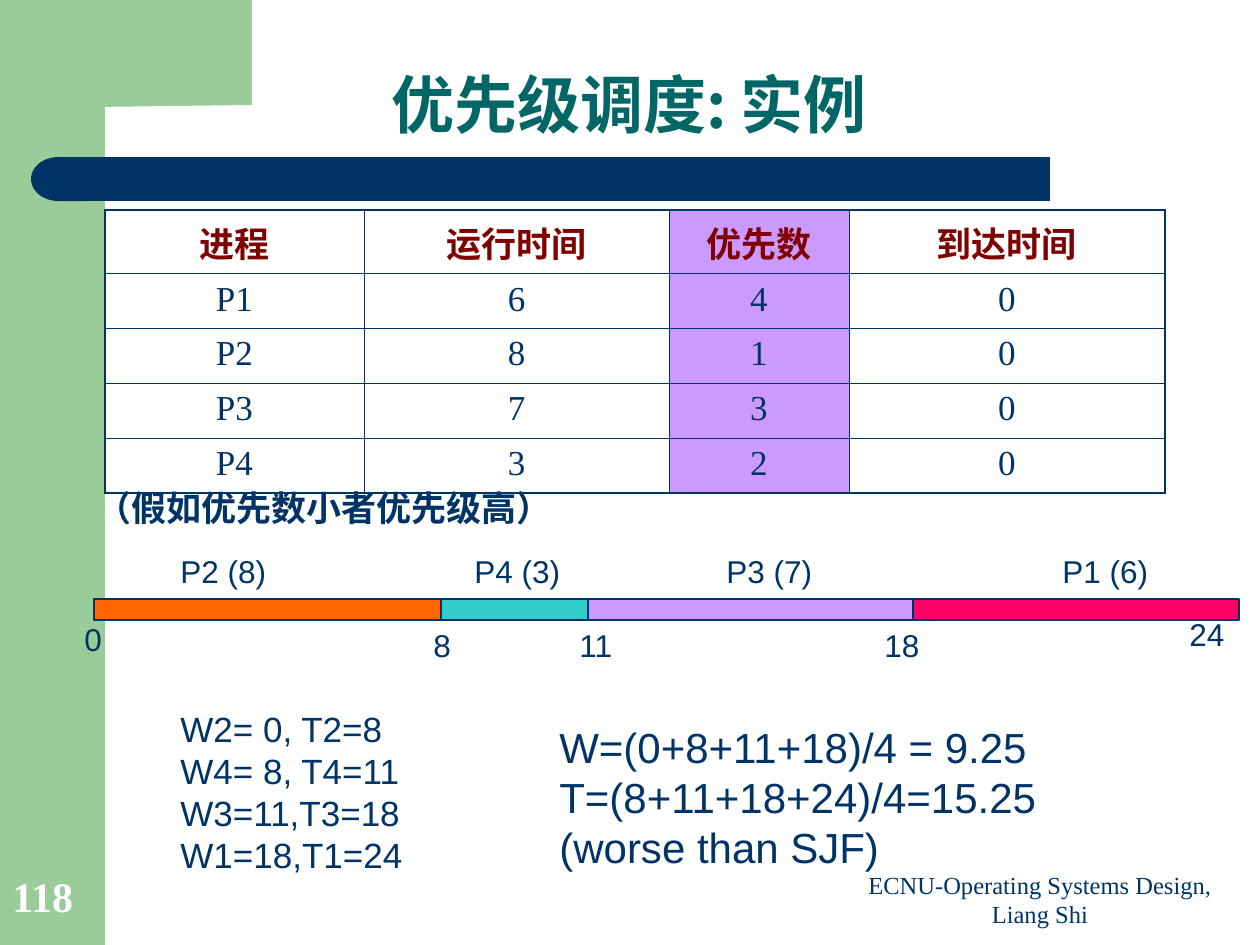
from lxml import etree
from pptx import Presentation
from pptx.dml.color import RGBColor
from pptx.enum.dml import MSO_LINE
from pptx.enum.shapes import MSO_CONNECTOR, MSO_SHAPE
from pptx.enum.text import MSO_ANCHOR, PP_ALIGN
from pptx.oxml.ns import qn
from pptx.util import Pt

RECT = MSO_SHAPE.RECTANGLE
DELAY = MSO_SHAPE.FLOWCHART_DELAY
STRAIGHT = MSO_CONNECTOR.STRAIGHT
DASH = MSO_LINE.DASH
TOP, BOTTOM = MSO_ANCHOR.TOP, MSO_ANCHOR.BOTTOM
LEFT, CENTER = PP_ALIGN.LEFT, PP_ALIGN.CENTER
SANS, SERIF, CJK = "Arial", "Times New Roman", "Noto Sans CJK SC"
NAVY, GREEN, VIOLET = "003366", "99CC99", "CC99FF"
MAROON, TEAL, WHITE = "800000", "006666", "FFFFFF"
TITLE_ONLY = 5


def px(n):
    return round(n * 914400 / 126)


def rgb(value):
    return RGBColor.from_string(value)


def style(tf, size, font=SANS, color=NAVY, bold=False, align=LEFT, spacing=1):
    for p in tf.paragraphs:
        p.alignment = align
        p.line_spacing = spacing
        for r in p.runs:
            r.font.size = Pt(size)
            r.font.name = font
            r.font.bold = bold
            r.font.color.rgb = rgb(color)
            ea = etree.SubElement(r._r.get_or_add_rPr(), qn("a:ea"))
            ea.set("typeface", CJK)
            r.font._element.find(qn("a:latin")).addnext(ea)


def add_text(s, box, text, size, wrap=False, anchor=TOP, **kw):
    tf = s.shapes.add_textbox(*map(px, box)).text_frame
    tf.word_wrap = wrap
    tf.vertical_anchor = anchor
    tf.text = text
    style(tf, size, **kw)


def paint(sp, fill, line=None):
    sp.shadow.inherit = False
    sp.fill.solid()
    sp.fill.fore_color.rgb = rgb(fill)
    if line:
        sp.line.color.rgb = rgb(line)
        sp.line.width = Pt(0.75)
    else:
        sp.line.fill.background()


def add_block(s, kind, box, fill, line=None):
    sp = s.shapes.add_shape(kind, *map(px, box))
    paint(sp, fill, line)
    return sp


def add_backdrop(s, x, y, w, h):
    side = 105
    add_block(s, RECT, (x, y, side, h), GREEN)
    fb = s.shapes.build_freeform(x + 252, y, scale=px(1))
    fb.add_line_segments([(x + 252, y + 105), (x + 97, y + 107), (x + 89, y + 116),
                          (x + 84, y + 146), (x + 84, y + 161), (x + 63, y + 161),
                          (x + 63, y)])
    paint(fb.convert_to_shape(), GREEN)
    add_block(s, RECT, (x + 84, y + 157, 966, 44), NAVY)
    cap = add_block(s, DELAY, (x + 31, y + 157, 55, 44), NAVY)
    cap._element.spPr.find(qn("a:xfrm")).set("flipH", "1")


def add_title(s, x, y, w, h):
    sp = s.shapes.title
    sp.left, sp.top, sp.width, sp.height = map(px, (x, y, w, h))
    tf = sp.text_frame
    tf.margin_left = tf.margin_right = tf.margin_top = tf.margin_bottom = 0
    tf.vertical_anchor = BOTTOM
    tf.text = "优先级调度: 实例"
    style(tf, 36, font=CJK, color=TEAL, bold=True, align=CENTER, spacing=0.9)


def set_borders(cell, outer):
    tcPr = cell._tc.get_or_add_tcPr()
    for i, (side, edge) in enumerate(outer.items()):
        ln = etree.Element(qn(f"a:ln{side}"), w=str(Pt(1.08 if edge else 0.45)))
        fill = etree.SubElement(ln, qn("a:solidFill"))
        etree.SubElement(fill, qn("a:srgbClr"), val=NAVY)
        tcPr.insert(i, ln)


def add_process_table(s, x, y, w, h):
    rows = [("进程", "运行时间", "优先数", "到达时间"),
            ("P1", "6", "4", "0"),
            ("P2", "8", "1", "0"),
            ("P3", "7", "3", "0"),
            ("P4", "3", "2", "0")]
    widths = (259, 305, 180, 316)
    last_row, last_col = len(rows) - 1, len(widths) - 1
    table = s.shapes.add_table(len(rows), len(widths), *map(px, (x, y, w, h))).table
    table.first_row = table.horz_banding = False
    for col, width in zip(table.columns, widths):
        col.width = px(width)
    for i, row in enumerate(rows):
        for j, text in enumerate(row):
            cell = table.cell(i, j)
            cell.text = text
            if i == 0:
                style(cell.text_frame, 20, color=MAROON, bold=True, align=CENTER)
            else:
                style(cell.text_frame, 20, font=SERIF, align=CENTER)
            if j == 2:
                cell.fill.solid()
                cell.fill.fore_color.rgb = rgb(VIOLET)
            else:
                cell.fill.background()
            set_borders(cell, {"L": j == 0, "R": j == last_col,
                               "T": i == 0, "B": i == last_row})


def add_gantt(s, x, y, w, h):
    axis = s.shapes.add_connector(STRAIGHT, *map(px, (x, y + 63, x + w - 11, y + 63)))
    axis.line.color.rgb = rgb(NAVY)
    axis.line.width = Pt(0.75)
    axis.line.dash_style = DASH
    etree.SubElement(axis._element.spPr, qn("a:effectLst"))
    segments = [("P2 (8)", 0, 347, 74, "FF6600"),
                ("P4 (3)", 347, 147, 368, "33CCCC"),
                ("P3 (7)", 494, 325, 620, VIOLET),
                ("P1 (6)", 819, 326, 956, "FF0066")]
    for name, left, width, label, color in segments:
        add_block(s, RECT, (x + left, y + 53, width, 21), color, NAVY)
        add_text(s, (x + label, y, 111, 50), name, 18)
    ticks = [("0", -22, 68), ("8", 327, 74), ("11", 473, 74),
             ("18", 778, 74), ("24", 1083, 63)]
    for time, left, top in ticks:
        add_text(s, (x + left, y + top, 43 if len(time) == 1 else 60, 50), time, 18)


def add_results(s, x, y, w, h):
    add_text(s, (x, y, 262, h),
             "W2= 0, T2=8\nW4= 8, T4=11\nW3=11,T3=18\nW1=18,T1=24", 20, wrap=True)
    add_text(s, (x + 379, y + 14, w - 379, 164),
             "W=(0+8+11+18)/4 = 9.25\nT=(8+11+18+24)/4=15.25\n(worse than SJF)", 24)


def add_footer(s, x, y, w, h):
    add_text(s, (x + 840, y + 8, 400, 66), "ECNU-Operating Systems Design, Liang Shi",
             14, wrap=True, anchor=BOTTOM, font=SERIF, align=CENTER)
    add_text(s, (x, y, 104, 67), "118", 24, wrap=True, anchor=BOTTOM, font=SERIF,
             color=WHITE, bold=True, spacing=0.9)


def main():
    prs = Presentation()
    prs.slide_width, prs.slide_height = px(1260), px(945)
    s = prs.slides.add_slide(prs.slide_layouts[TITLE_ONLY])
    add_backdrop(s, 0, 0, 1260, 945)
    add_title(s, 6, 50, 1246, 92)
    add_process_table(s, 105, 210, 1060, 275)
    add_gantt(s, 94, 546, 1145, 124)
    add_results(s, 168, 701, 884, 181)
    add_text(s, (84, 480, 754, 54), "（假如优先数小者优先级高）", 20, wrap=True, bold=True)
    add_footer(s, 0, 861, 1260, 74)
    prs.save("out.pptx")


if __name__ == "__main__":
    main()
